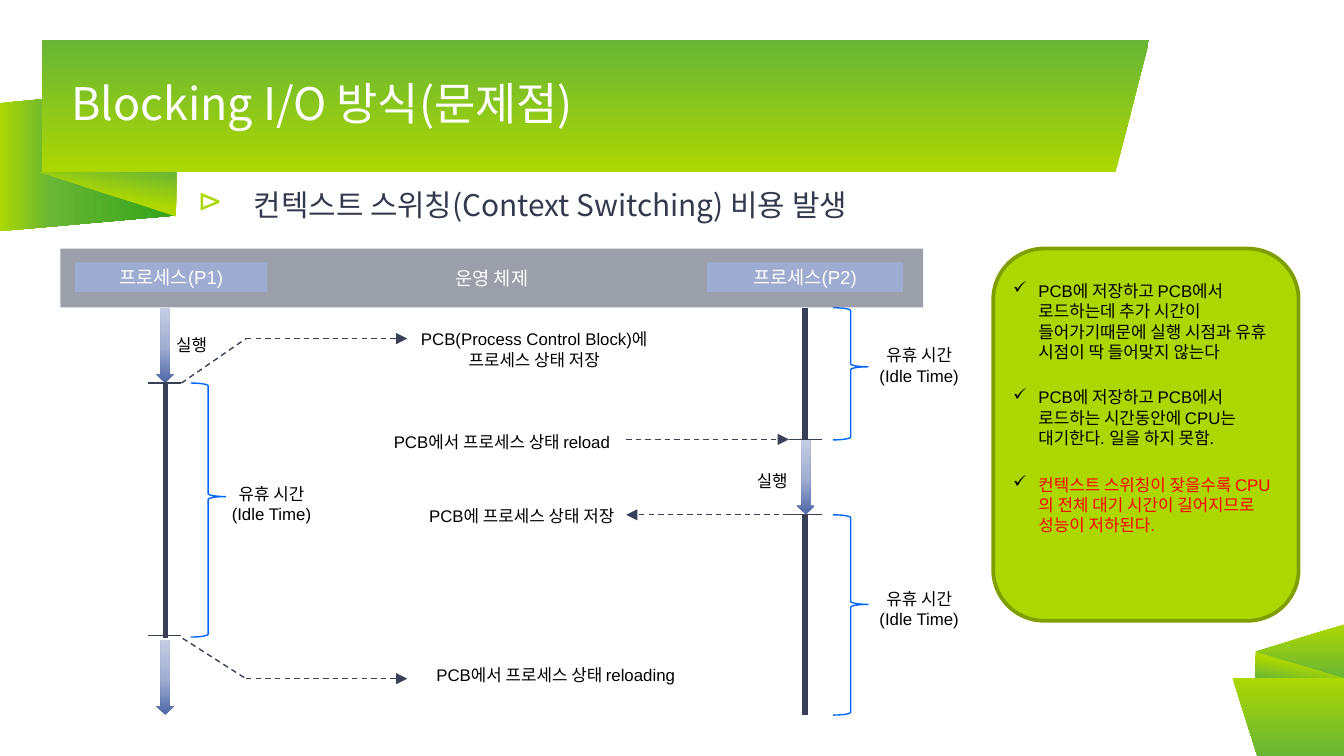
from pptx import Presentation
from pptx import util as u
from pptx.dml.color import RGBColor
from pptx.enum import dml, shapes, text
from pptx.oxml import ns, parse_xml

Pt = u.Pt
KIND = shapes.MSO_SHAPE
A = ns.nsdecls("a")


def colour(value):
    return RGBColor.from_string(value)


def write(shape, words, tint="000000", frame_format=None, para_format=None,
          font_format=None, bullet=None):
    """Fill a shape with text; bullet is (sign, colour, left, hanging)."""
    frame = shape.text_frame
    frame_values = {"word_wrap": True, **(frame_format or {})}
    for name, value in frame_values.items():
        setattr(frame, name, value)
    for index, line in enumerate(words.split("\n")):
        para = frame.add_paragraph() if index else frame.paragraphs[0]
        if bullet:
            sign, shade, left, hanging = bullet
            props = para._p.get_or_add_pPr()
            props.set("marL", str(Pt(left)))
            props.set("indent", str(-Pt(hanging)))
            props.append(parse_xml(f'<a:buClr {A}><a:srgbClr val="{shade}"/></a:buClr>'))
            props.append(parse_xml(f'<a:buChar {A} char="{sign}"/>'))
        for name, value in (para_format or {}).items():
            setattr(para, name, value)
        span = para.add_run()
        span.text = line
        font_values = {"name": "Arial", "size": Pt(9), **(font_format or {})}
        for name, value in font_values.items():
            setattr(span.font, name, value)
        span.font.color.rgb = colour(tint)
    return frame


deck = Presentation()
deck.slide_width, deck.slide_height = Pt(720), Pt(405)
page = deck.slides.add_slide(deck.slide_layouts[6])
items = page.shapes

CENTER = {"alignment": text.PP_ALIGN.CENTER}
MIDDLE = {"vertical_anchor": text.MSO_ANCHOR.MIDDLE}
NO_INSET = {f"margin_{side}": 0 for side in ("left", "top", "right", "bottom")}
GROW = {"auto_size": text.MSO_AUTO_SIZE.SHAPE_TO_FIT_TEXT}

# Ribbons and running-time arrows: kind, box, rotation, flip, adjustment, stops, angle
GREEN = [(0, "ACD701"), (100, "69B636")]
FOLD = [(0, "ACD701"), (47, "ACD701"), (100, "69B636")]
TAIL = [(0, "ACD701"), (29, "69B636"), (100, "32A318")]
BLUE = [(0, "4F67A7"), (48, "A1AED2"), (100, "C5CDE3")]
gradients = [
    (KIND.PARALLELOGRAM, (8.6, 38.2, 77, 94.3), 270, True, 0.109, TAIL, 90),
    (KIND.RIGHT_TRIANGLE, (21.6, 92.2, 72.7, 23.8), 180, False, None, FOLD, 100),
    (KIND.RECTANGLE, (22.3, 21.6, 575.5, 70.6), 180, True, None, GREEN, 90),
    (KIND.ISOSCELES_TRIANGLE, (597.6, 21.6, 18, 70.6), 180, False, 1, GREEN, 90),
    (KIND.ISOSCELES_TRIANGLE, (681.8, 325.4, 29.5, 47.5), 270, False, 0.5, GREEN, 180),
    (KIND.RIGHT_TRIANGLE, (672.5, 349.2, 47.5, 14.4), 0, False, None, FOLD, 100),
    (KIND.RECTANGLE, (673.2, 363, 46.8, 42), 180, False, None, GREEN, 270),
    (KIND.ISOSCELES_TRIANGLE, (660.2, 363, 13.4, 42), 180, True, 1, GREEN, 270),
]
for left, top in [(427, 235.4), (83.8, 164.9), (83.8, 342.7)]:
    gradients.append((KIND.DOWN_ARROW, (left, top, 9.4, 40.3), 0, False, None, BLUE, 270))
for kind, box, turn, flip, adjust, stops, angle in gradients:
    shape = items.add_shape(kind, *map(Pt, box))
    shape.shadow.inherit = False
    shape.rotation = turn
    if flip:
        shape._element.spPr.xfrm.set("flipH", "1")
    if adjust is not None:
        shape.adjustments[0] = adjust
    shape.line.fill.background()
    shape.fill.background()
    marks = "".join(f'<a:gs pos="{spot * 1000}"><a:srgbClr val="{shade}"/></a:gs>'
                    for spot, shade in stops)
    blank = shape._element.spPr.find(ns.qn("a:noFill"))
    blank.getparent().replace(blank, parse_xml(
        f'<a:gradFill {A} rotWithShape="1"><a:gsLst>{marks}</a:gsLst>'
        f'<a:lin ang="{angle * 60000}" scaled="0"/></a:gradFill>'))

# Header bar, process labels and note panel: kind, box, fill, line, words
panels = [
    (KIND.ROUNDED_RECTANGLE, (532.1, 133.2, 163.6, 199.4), "ACD701", "7F9F01", ""),
    (KIND.RECTANGLE, (32.4, 133.2, 462.2, 31.5), "394057", None, "운영 체제"),
    (KIND.RECTANGLE, (40.3, 140.6, 103, 15.8), "9EACD1", None, "프로세스(P1)"),
    (KIND.RECTANGLE, (378.7, 140.6, 105.1, 15.8), "9EACD1", None, "프로세스(P2)"),
]
for kind, box, fill, edge, words in panels:
    shape = items.add_shape(kind, *map(Pt, box))
    shape.shadow.inherit = False
    shape.fill.solid()
    shape.fill.fore_color.rgb = colour(fill)
    if edge:
        shape.line.color.rgb = colour(edge)
        shape.line.width = Pt(2)
    else:
        shape.line.fill.background()
    if fill == "394057":
        shade = shape._element.spPr.find(ns.qn("a:solidFill"))[0]
        shade.append(parse_xml(f'<a:alpha {A} val="50000"/>'))
    if words:
        write(shape, words, "FFFFFF", MIDDLE, CENTER, {"size": Pt(10)})

# Idle-time braces
for left, top, height in [(446.4, 164.9, 70.8), (446.4, 275.8, 107.3), (102.2, 205.2, 136.1)]:
    brace = items.add_shape(KIND.RIGHT_BRACE, Pt(left), Pt(top), Pt(18.7), Pt(height))
    brace.shadow.inherit = False
    brace.adjustments[0], brace.adjustments[1] = 0.083, 0.447
    brace.fill.background()
    brace.line.color.rgb = colour("0066FF")
    brace.line.width = Pt(0.75)

# Timelines, ticks and dashed state transfers: ends, width, dashed, arrowhead
lines = [
    ((431.3, 164.9, 431.3, 235.4), 3, False, False),
    ((431.3, 275.8, 431.3, 383), 3, False, False),
    ((88.6, 205.2, 88.6, 342), 3, False, False),
    ((335.5, 235.4, 422.6, 235.4), 0.75, True, True),
    ((422.6, 275.8, 335.5, 275.8), 0.75, True, True),
    ((97.2, 205.2, 131.8, 181.4), 0.75, True, False),
    ((131.8, 181.4, 218.2, 181.4), 0.75, True, True),
    ((97.9, 342, 131.8, 363.6), 0.75, True, False),
    ((131.8, 363.6, 218.2, 363.6), 0.75, True, True),
]
for left, top in [(422.6, 235.4), (422.6, 275.8), (79.2, 205.2), (79.2, 340.6)]:
    lines.append(((left, top, left + 18, top), 0.75, False, False))
for ends, width, dashed, arrow in lines:
    line = items.add_connector(shapes.MSO_CONNECTOR.STRAIGHT, *map(Pt, ends))
    line.line.color.rgb = colour("394057" if dashed else "373E56")
    line.line.width = Pt(width)
    if dashed:
        line.line.dash_style = dml.MSO_LINE.DASH
    props = line._element.spPr
    if arrow:
        props.find(ns.qn("a:ln")).append(parse_xml(f'<a:tailEnd {A} type="triangle"/>'))
    props.append(parse_xml(f"<a:effectLst {A}/>"))

# Title with soft text shadow
box = items.add_textbox(Pt(38.2), Pt(21.6), Pt(570.2), Pt(70.6))
frame = write(box, "Blocking I/O 방식(문제점)", "FFFFFF", {**NO_INSET, **MIDDLE},
              {"line_spacing": 0.9}, {"name": "Noto Sans CJK KR", "size": Pt(24)})
span = frame.paragraphs[0].runs[0]
span._r.rPr.find(ns.qn("a:solidFill")).addnext(parse_xml(
    f'<a:effectLst {A}><a:outerShdw blurRad="38100" dist="38100" dir="2700000">'
    '<a:srgbClr val="000000"><a:alpha val="30000"/></a:srgbClr></a:outerShdw></a:effectLst>'))

# Subtitle
box = items.add_textbox(Pt(100.1), Pt(97.2), Pt(587.5), Pt(30.2))
write(box, "컨텍스트 스위칭(Context Switching) 비용 발생", "343A4E", NO_INSET,
      {"line_spacing": 1.15}, {"name": "Noto Sans CJK KR", "size": Pt(16)},
      ("⊳", "ACD701", 36, 30.2))

# Diagram labels
IDLE = "유휴 시간\n(Idle Time)"
labels = [
    ((458.6, 181.4, 67.7, 28.8), IDLE),
    ((458.6, 311.8, 67.7, 28.8), IDLE),
    ((111.6, 255.6, 67.7, 28.8), IDLE),
    ((394.6, 248.4, 38.2, 18), "실행"),
    ((83.5, 175.7, 38.2, 18), "실행"),
    ((192.2, 227.5, 153.4, 18), "PCB에서 프로세스 상태 reload"),
    ((197.3, 267.1, 164.2, 18), "PCB에 프로세스 상태 저장"),
    ((217.4, 172.8, 137.5, 28.8), "PCB(Process Control Block)에 프로세스 상태 저장"),
    ((217.4, 352.8, 160.6, 18), "PCB에서 프로세스 상태 reloading"),
]
for place, words in labels:
    write(items.add_textbox(*map(Pt, place)), words, frame_format=GROW, para_format=CENTER)

# Notes in the panel
notes = [
    (146.9, 51.1, "000000", "PCB에 저장하고 PCB에서 로드하는데 추가 시간이 들어가기때문에 "
                            "실행 시점과 유휴 시점이 딱 들어맞지 않는다"),
    (203.8, 40.3, "000000", "PCB에 저장하고 PCB에서 로드하는 시간동안에 CPU는 대기한다. "
                            "일을 하지 못함."),
    (250.6, 40.3, "FF0000", "컨텍스트 스위칭이 잦을수록 CPU의 전체 대기 시간이 길어지므로 "
                            "성능이 저하된다."),
]
for top, height, tint, words in notes:
    box = items.add_textbox(Pt(535.7), Pt(top), Pt(156.2), Pt(height))
    write(box, words, tint, GROW, bullet=("✓", "000000", 13.5, 13.5))

deck.save("out.pptx")
